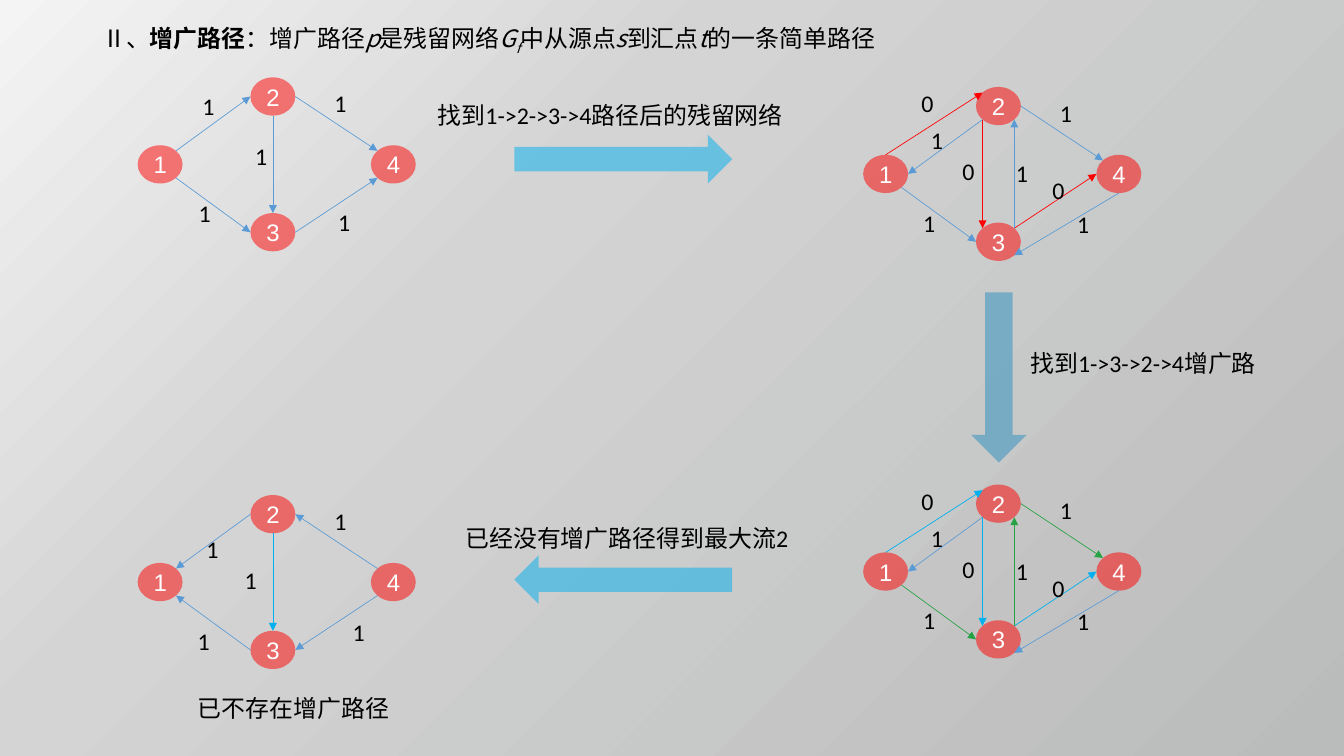
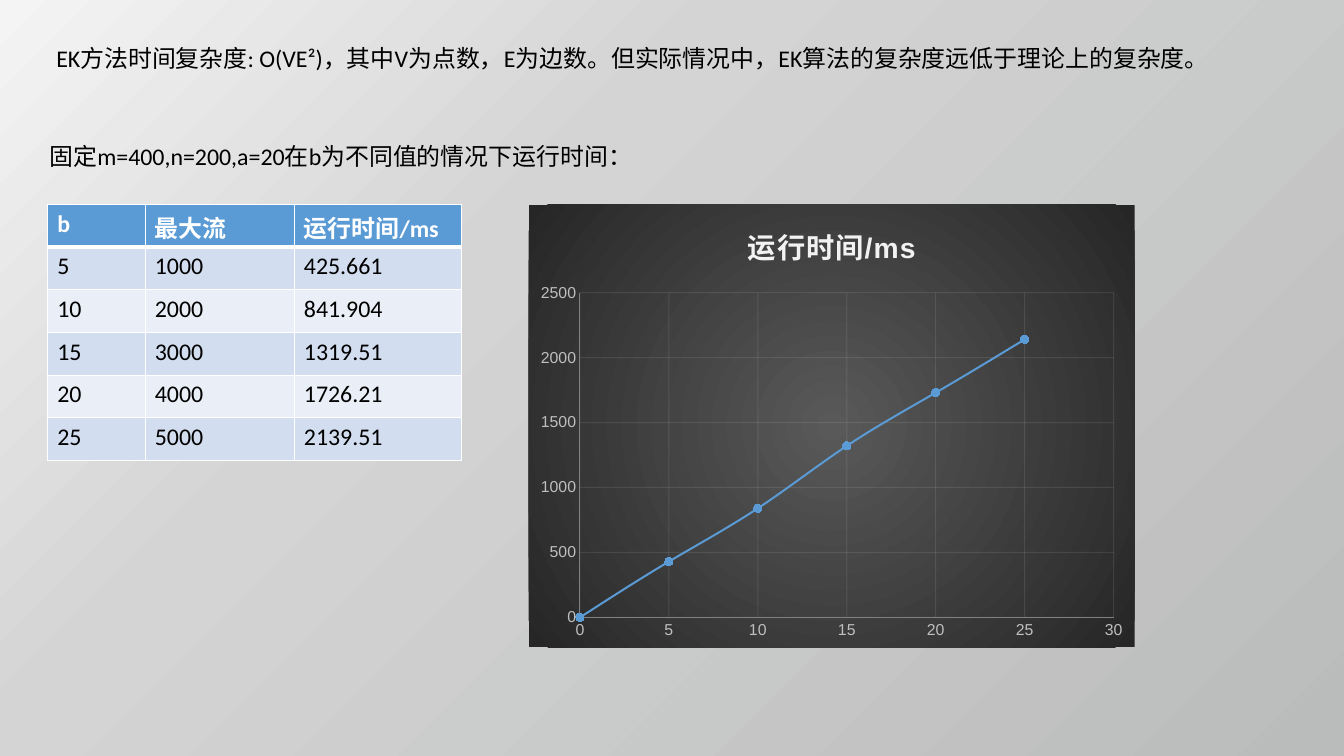
from pptx import Presentation
from pptx.chart.data import XyChartData
from pptx.dml.color import RGBColor
from pptx.enum import chart as charts, shapes, text
from pptx.oxml import parse_xml
from pptx.oxml.ns import nsdecls, qn
from pptx.util import Inches, Pt

BLACK = RGBColor(0x00, 0x00, 0x00)
WHITE = RGBColor(0xFF, 0xFF, 0xFF)
RED = RGBColor(0xFF, 0x00, 0x00)
BLUE = RGBColor(0x5B, 0x9B, 0xD5)
CYAN = RGBColor(0x00, 0xB0, 0xF0)
GREEN = RGBColor(0x26, 0xA2, 0x44)
STEEL = RGBColor(0x29, 0x8E, 0xC0)
BAND_DARK = RGBColor(0xD2, 0xDE, 0xEF)
BAND_LIGHT = RGBColor(0xEA, 0xEF, 0xF7)
CHART_TEXT = RGBColor(0xBF, 0xBF, 0xBF)
AXIS_LINE = RGBColor(0x80, 0x80, 0x80)
PALE = RGBColor(0xF2, 0xF2, 0xF2)
BODY, CHINESE, CHART_FONT = "Calibri", "Noto Sans CJK SC", "Arial"
PAGE_STOPS = [(0, "F4F4F4"), (35, "D4D4D4"), (100, "BABBBB")]
CHART_STOPS = [(0, "595959"), (100, "262626")]

TITLE_RUNS = [
    ("Ⅱ、", "latin"), ("增广路径", "bold"), ("：增广路径", ""), ("p", "italic"),
    ("是残留网络", ""), ("G", "italic"), ("f", "italic sub"), ("中从源点", ""),
    ("s", "italic"), ("到汇点", ""), ("t", "italic"), ("的一条简单路径", ""),
]
NODE_WIDTH, NODE_HEIGHT = 0.47, 0.4
NODES = {"1": (0, 0.71), "2": (1.18, 0), "3": (1.18, 1.42), "4": (2.44, 0.71)}
DIAGONAL = 0.5 ** 0.5
SIDES = {
    "n": (0, -1), "s": (0, 1), "e": (1, 0), "w": (-1, 0),
    "ne": (DIAGONAL, -DIAGONAL), "nw": (-DIAGONAL, -DIAGONAL),
    "se": (DIAGONAL, DIAGONAL), "sw": (-DIAGONAL, DIAGONAL),
}
RESIDUAL_EDGES = ["1n 2nw", "2e 4nw", "1se 3w", "3ne 4w", "2sw 3nw", "2sw 1e", "3ne 2se", "4s 3se"]
RESIDUAL_LABELS = [
    ("0", 0.51, -0.03), ("1", 0.53, 1.22), ("0", 0.94, 0.68), ("1", 1.96, 0.07),
    ("0", 1.88, 0.88), ("1", 0.61, 0.36), ("1", 1.5, 0.7), ("1", 2.14, 1.23),
]
GRAPHS = [
    {
        "origin": (1.44, 0.81),
        "edges": ["1ne 2w", "2e 4nw", "1se 3w", "3e 4sw", "2s 3n"],
        "colors": [BLUE] * 5,
        "labels": [("1", 0.58, 0.1), ("1", 0.54, 1.22), ("1", 1.13, 0.62),
                   ("1", 1.96, 0.07), ("1", 2.0, 1.31)],
    },
    {
        "origin": (9.03, 0.91),
        "edges": RESIDUAL_EDGES,
        "colors": [RED, BLUE, BLUE, RED, RED, BLUE, BLUE, BLUE],
        "labels": RESIDUAL_LABELS,
    },
    {
        "origin": (9.03, 5.07),
        "edges": RESIDUAL_EDGES,
        "colors": [CYAN, GREEN, GREEN, CYAN, CYAN, BLUE, GREEN, BLUE],
        "labels": RESIDUAL_LABELS,
    },
    {
        "origin": (1.44, 5.18),
        "edges": ["2s 3n", "2w 1ne", "4sw 3e", "3w 1se", "4nw 2e"],
        "colors": [CYAN, BLUE, BLUE, BLUE, BLUE],
        "labels": [("1", 1.02, 0.69), ("1", 1.96, 0.07), ("1", 0.62, 0.36),
                   ("1", 2.15, 1.23), ("1", 0.53, 1.33)],
    },
]
STEP_ARROWS = [
    ("RIGHT_ARROW", (5.38, 1.41, 2.28, 0.51), CYAN, 0),
    ("DOWN_ARROW", (10.16, 3.06, 0.58, 1.78), STEEL, 0),
    ("RIGHT_ARROW", (5.38, 5.81, 2.28, 0.51), CYAN, 180),
]
STEP_CAPTIONS = [
    ("找到1->2->3->4路径后的残留网络", 4.48, 1.0, 3.85),
    ("找到1->3->2->4增广路", 10.68, 3.6, 2.87),
    ("已经没有增广路径得到最大流2", 4.77, 5.43, 3.73),
    ("已不存在增广路径", 1.97, 7.21, 2.22),
]
COMPLEXITY_TEXTS = [
    ("EK方法时间复杂度: O(VE²)，其中V为点数，E为边数。但实际情况中，EK算法的复杂度远低于理论上的复杂度。", 0.49, 0.41, 12.38),
    ("固定m=400,n=200,a=20在b为不同值的情况下运行时间：", 0.42, 1.43, 7.03),
]
TIMING_HEADER = ("b", "最大流", "运行时间/ms")
TIMINGS = [(5, 1000, 425.661), (10, 2000, 841.904), (15, 3000, 1319.51),
           (20, 4000, 1726.21), (25, 5000, 2139.51)]
COLUMN_WIDTHS = (1.02, 1.56, 1.75)


def inches(values):
    return [Inches(value) for value in values]


def gradient(stops, direction):
    marks = "".join(f'<a:gs pos="{position * 1000}"><a:srgbClr val="{color}"/></a:gs>'
                    for position, color in stops)
    return f'<a:gradFill {nsdecls("a")} rotWithShape="1"><a:gsLst>{marks}</a:gsLst>{direction}</a:gradFill>'


def set_alpha(holder, percent):
    color = next(holder.iter(qn("a:srgbClr")))
    color.append(parse_xml(f'<a:alpha {nsdecls("a")} val="{percent * 1000}"/>'))


def set_font(font, size, color, name=BODY, bold=None):
    font.size, font.name, font.bold = Pt(size), name, bold
    font.color.rgb = color


def add_text(slide, content, left, top, width):
    box = slide.shapes.add_textbox(*inches((left, top, width, 0.4)))
    frame = box.text_frame
    frame.word_wrap = True
    frame.auto_size = text.MSO_AUTO_SIZE.SHAPE_TO_FIT_TEXT
    paragraph = frame.paragraphs[0]
    paragraph.text = content
    set_font(paragraph.font, 18, BLACK)
    return paragraph


def add_shape(slide, kind, box, color):
    shape = slide.shapes.add_shape(kind, *inches(box))
    shape.shadow.inherit = False
    shape.fill.solid()
    shape.fill.fore_color.rgb = color
    set_alpha(shape.element.spPr, 50)
    shape.line.fill.background()
    return shape


def add_edge(slide, start, end, color):
    edge = slide.shapes.add_connector(shapes.MSO_CONNECTOR.STRAIGHT, *inches(start + end))
    edge.line.color.rgb = color
    edge.line.width = Pt(0.5)
    edge.line._get_or_add_ln().append(parse_xml(f'<a:tailEnd {nsdecls("a")} type="triangle"/>'))
    edge.element.spPr.append(parse_xml(f'<a:effectLst {nsdecls("a")}/>'))


def add_graph(slide, graph):
    left, top = graph["origin"]

    def anchor(end):
        x, y = NODES[end[0]]
        across, down = SIDES[end[1:]]
        return (left + x + NODE_WIDTH / 2 * (1 + across), top + y + NODE_HEIGHT / 2 * (1 + down))

    for name, (x, y) in NODES.items():
        box = (left + x, top + y, NODE_WIDTH, NODE_HEIGHT)
        node = add_shape(slide, shapes.MSO_SHAPE.OVAL, box, RED)
        node.text_frame.vertical_anchor = text.MSO_ANCHOR.MIDDLE
        paragraph = node.text_frame.paragraphs[0]
        paragraph.text = name
        paragraph.alignment = text.PP_ALIGN.CENTER
        set_font(paragraph.font, 18, WHITE, CHART_FONT)
    for edge, color in zip(graph["edges"], graph["colors"]):
        start, end = edge.split()
        add_edge(slide, anchor(start), anchor(end), color)
    for label, x, y in graph["labels"]:
        add_text(slide, label, left + x, top + y, 0.33)


def build_path_slide(slide):
    title = add_text(slide, "", 0.97, 0.2, 10.08)
    for content, style in TITLE_RUNS:
        run = title.add_run()
        run.text = content
        run.font.name = BODY if "latin" in style else CHINESE
        run.font.bold = "bold" in style
        run.font.italic = "italic" in style
        if "sub" in style:
            run.font._element.set("baseline", "-25000")
    for graph in GRAPHS:
        add_graph(slide, graph)
    for kind, box, color, rotation in STEP_ARROWS:
        add_shape(slide, shapes.MSO_SHAPE[kind], box, color).rotation = rotation
    for caption in STEP_CAPTIONS:
        add_text(slide, *caption)


def add_timing_table(slide):
    rows = [TIMING_HEADER] + TIMINGS
    frame = slide.shapes.add_table(len(rows), len(COLUMN_WIDTHS), *inches((0.5, 2.14, 4.33, 2.68)))
    table = frame.table
    for column, width in zip(table.columns, COLUMN_WIDTHS):
        column.width = Inches(width)
    for row_index, row in enumerate(rows):
        header = row_index == 0
        fill = BLUE if header else (BAND_LIGHT, BAND_DARK)[row_index % 2]
        for column_index, value in enumerate(row):
            cell = table.cell(row_index, column_index)
            for side in "LRTB":
                width = Pt(3 if header and side == "B" else 1)
                cell._tc.get_or_add_tcPr().append(parse_xml(
                    f'<a:ln{side} {nsdecls("a")} w="{width}"><a:solidFill>'
                    f'<a:srgbClr val="{WHITE}"/></a:solidFill></a:ln{side}>'))
            cell.fill.solid()
            cell.fill.fore_color.rgb = fill
            paragraph = cell.text_frame.paragraphs[0]
            paragraph.text = str(value)
            set_font(paragraph.font, 18, WHITE if header else BLACK, bold=header)


def style_axis(axis, maximum, step):
    axis.minimum_scale, axis.maximum_scale, axis.major_unit = 0, maximum, step
    axis.major_tick_mark = axis.minor_tick_mark = charts.XL_TICK_MARK.NONE
    set_font(axis.tick_labels.font, 11.9, CHART_TEXT, CHART_FONT)
    axis.has_major_gridlines = True
    grid = axis.major_gridlines.format.line
    for line, color in ((axis.format.line, AXIS_LINE), (grid, PALE)):
        line.color.rgb = color
        line.width = Pt(0.75)
    set_alpha(grid._get_or_add_ln(), 10)


def add_timing_chart(slide):
    data = XyChartData()
    points = data.add_series(TIMING_HEADER[-1])
    for b, _, time in [(0, 0, 0)] + TIMINGS:
        points.add_data_point(b, int(round(time, -1)))
    chart = slide.shapes.add_chart(charts.XL_CHART_TYPE.XY_SCATTER_SMOOTH,
                                   *inches((5.53, 2.14, 6.34, 4.63)), data).chart
    set_font(chart.font, 10, BLACK, CHART_FONT)
    chart.has_legend = False
    chart.has_title = True
    paragraph = chart.chart_title.text_frame.paragraphs[0]
    paragraph.text = TIMING_HEADER[-1]
    set_font(paragraph.font, 21.3, PALE, CHART_FONT, True)
    paragraph.font._element.set("spc", "100")
    chart.chart_title.include_in_layout = False
    style_axis(chart.category_axis, 30, 5)
    style_axis(chart.value_axis, 2500, 500)
    plot = chart.plots[0]
    plot.vary_by_categories = False
    series = plot.series[0]
    series._element.get_or_add_smooth().set("val", "1")
    series.format.line.color.rgb = BLUE
    series.format.line.width = Pt(1.5)
    marker = series.marker
    marker.style, marker.size = charts.XL_MARKER_STYLE.CIRCLE, 6
    marker.format.fill.solid()
    marker.format.fill.fore_color.rgb = BLUE
    marker.format.line.fill.background()
    center = '<a:path path="circle"><a:fillToRect l="50000" t="50000" r="50000" b="50000"/></a:path>'
    panel = parse_xml(f'<c:spPr {nsdecls("c", "a")}>{gradient(CHART_STOPS, center)}'
                      '<a:ln><a:noFill/></a:ln></c:spPr>')
    chart.element.find(qn("c:txPr")).addprevious(panel)


def build_complexity_slide(slide):
    for item in COMPLEXITY_TEXTS:
        add_text(slide, *item)
    add_timing_table(slide)
    add_timing_chart(slide)


def main():
    presentation = Presentation()
    presentation.slide_width, presentation.slide_height = inches((14.06, 7.91))
    master = presentation.slide_master
    master.background.fill.solid()
    background = next(master.element.iter(qn("p:bgPr")))
    background.replace(background[0], parse_xml(gradient(PAGE_STOPS, '<a:lin ang="2700000" scaled="0"/>')))
    for build in (build_path_slide, build_complexity_slide):
        build(presentation.slides.add_slide(presentation.slide_layouts[6]))
    presentation.save("out.pptx")


if __name__ == "__main__":
    main()
